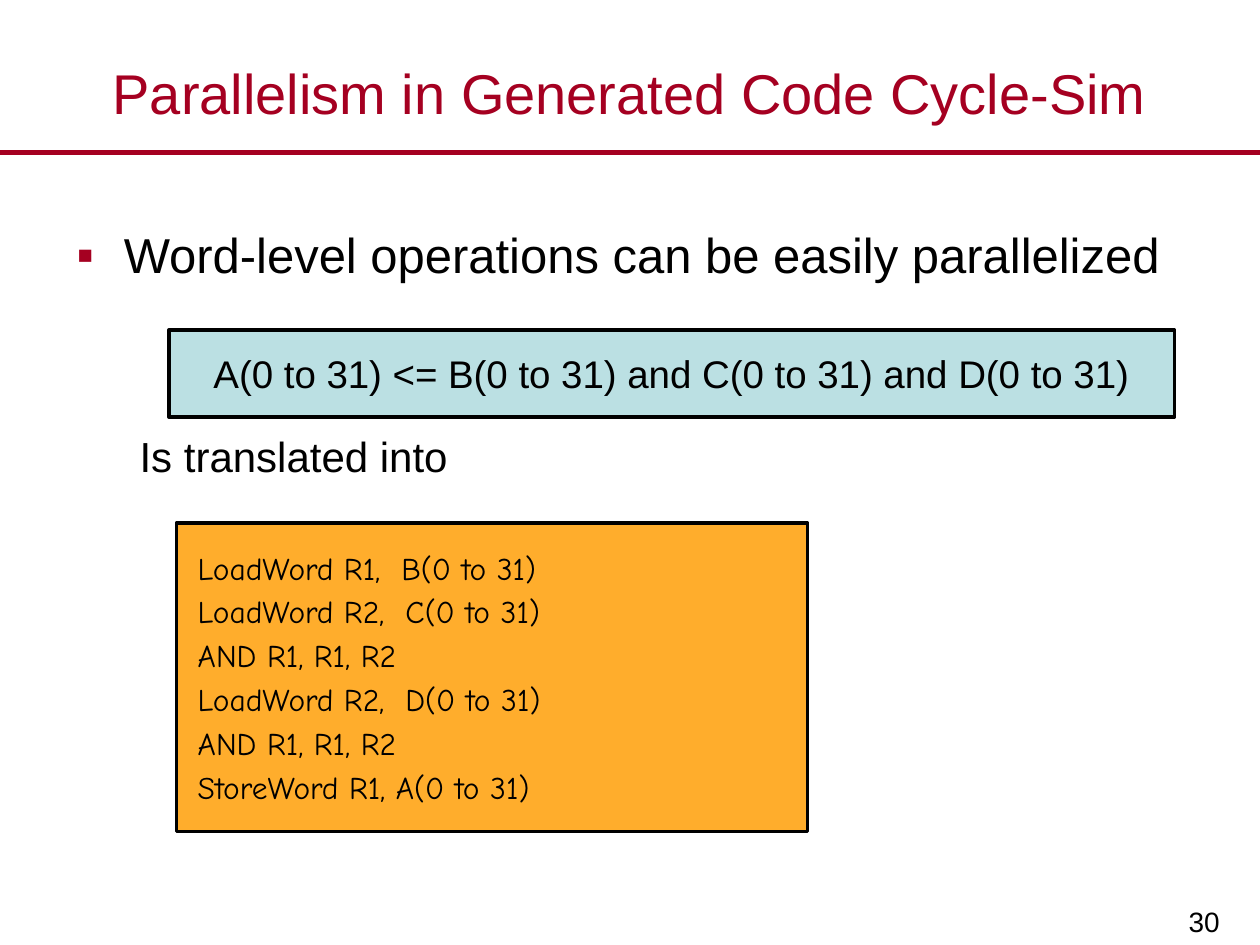
from lxml import etree
from pptx import Presentation
from pptx.dml.color import RGBColor
from pptx.enum import shapes, text
from pptx.oxml import ns
from pptx.util import Pt

RED, BLACK, BLUE, ORANGE = "A50021", "000000", "BBE0E3", "FFAD2C"
LEFT, CENTER, RIGHT = text.PP_ALIGN.LEFT, text.PP_ALIGN.CENTER, text.PP_ALIGN.RIGHT
TOP, MIDDLE, BOTTOM = text.MSO_ANCHOR.TOP, text.MSO_ANCHOR.MIDDLE, text.MSO_ANCHOR.BOTTOM

CODE_LINES = [
    "LoadWord R1,  B(0 to 31)",
    "LoadWord R2,  C(0 to 31)",
    "AND R1, R1, R2",
    "LoadWord R2,  D(0 to 31)",
    "AND R1, R1, R2",
    "StoreWord R1, A(0 to 31)",
]


def color(value):
    return RGBColor.from_string(value)


def set_frame(shape, anchor, insets=(7.2, 3.6, 7.2, 3.6), wrap=True):
    frame = shape.text_frame
    frame.word_wrap = wrap
    frame.vertical_anchor = anchor
    (frame.margin_left, frame.margin_top,
     frame.margin_right, frame.margin_bottom) = map(Pt, insets)
    return frame


def add_text_box(slide, bounds, anchor, **options):
    return set_frame(slide.shapes.add_textbox(*map(Pt, bounds)), anchor, **options)


def add_box(slide, bounds, fill, **options):
    shape = slide.shapes.add_shape(shapes.MSO_SHAPE.RECTANGLE, *map(Pt, bounds))
    shape.shadow.inherit = False
    shape.fill.solid()
    shape.fill.fore_color.rgb = color(fill)
    shape.line.color.rgb = color(BLACK)
    shape.line.width = Pt(2)
    return set_frame(shape, MIDDLE, **options)


def add_rule(slide, y, width):
    line = slide.shapes.add_connector(
        shapes.MSO_CONNECTOR.STRAIGHT, 0, Pt(y), Pt(width), Pt(y))
    line.line.color.rgb = color(RED)
    line.line.width = Pt(3)
    etree.SubElement(line._element.spPr, ns.qn("a:effectLst"))


def set_indent(paragraph, left, first=0, bullet=None):
    properties = paragraph._p.get_or_add_pPr()
    properties.set("marL", str(Pt(left)))
    properties.set("indent", str(Pt(first)))
    if bullet:
        bullet_color = etree.SubElement(properties, ns.qn("a:buClr"))
        etree.SubElement(bullet_color, ns.qn("a:srgbClr"), val=RED)
        etree.SubElement(properties, ns.qn("a:buFont"), typeface="Arial")
        etree.SubElement(properties, ns.qn("a:buChar"), char=bullet)


def write(frame, content, size, align=LEFT, font="Arial", fill=BLACK, before=0, after=0):
    """Fill the first empty paragraph, or append a new one."""
    paragraph = frame.paragraphs[0]
    if paragraph.runs:
        paragraph = frame.add_paragraph()
    paragraph.alignment = align
    if before:
        paragraph.space_before = Pt(before)
    paragraph.space_after = Pt(after)
    run = paragraph.add_run()
    run.text = content
    run.font.size = Pt(size)
    run.font.name = font
    run.font.color.rgb = color(fill)
    return paragraph


def main():
    presentation = Presentation()
    presentation.slide_width, presentation.slide_height = Pt(720), Pt(540)
    slide = presentation.slides.add_slide(presentation.slide_layouts[6])

    # Rule and page number
    add_rule(slide, 87, 720)
    number = add_text_box(slide, (561.6, 499, 143.3, 41), BOTTOM, insets=(8, 4, 8, 4))
    write(number, "30", 16, RIGHT)

    # Body: the gap leaves room for the statement box
    body = add_text_box(slide, (36.7, 122.4, 648, 370), TOP, insets=(7.2, 6, 7.2, 3.6))
    point = write(body, "Word-level operations can be easily parallelized", 28)
    set_indent(point, 27, -27, "▪")
    set_indent(write(body, "Is translated into", 24, before=84), 36)

    # Statement
    statement = add_box(slide, (96.5, 188.6, 574.6, 49.7), BLUE, wrap=False)
    write(statement, "A(0 to 31) <= B(0 to 31) and C(0 to 31) and D(0 to 31)", 22, CENTER)

    # Title
    title = add_text_box(slide, (0, 21.6, 720, 62), MIDDLE)
    write(title, "Parallelism in Generated Code Cycle-Sim", 32, CENTER, fill=RED)

    # Generated code
    code = add_box(slide, (100.8, 298.8, 360.7, 176.4), ORANGE, insets=(12.2, 0, 0, 0))
    for line in CODE_LINES:
        write(code, line, 18, font="Comic Neue", after=3.5)

    presentation.save("out.pptx")


if __name__ == "__main__":
    main()
